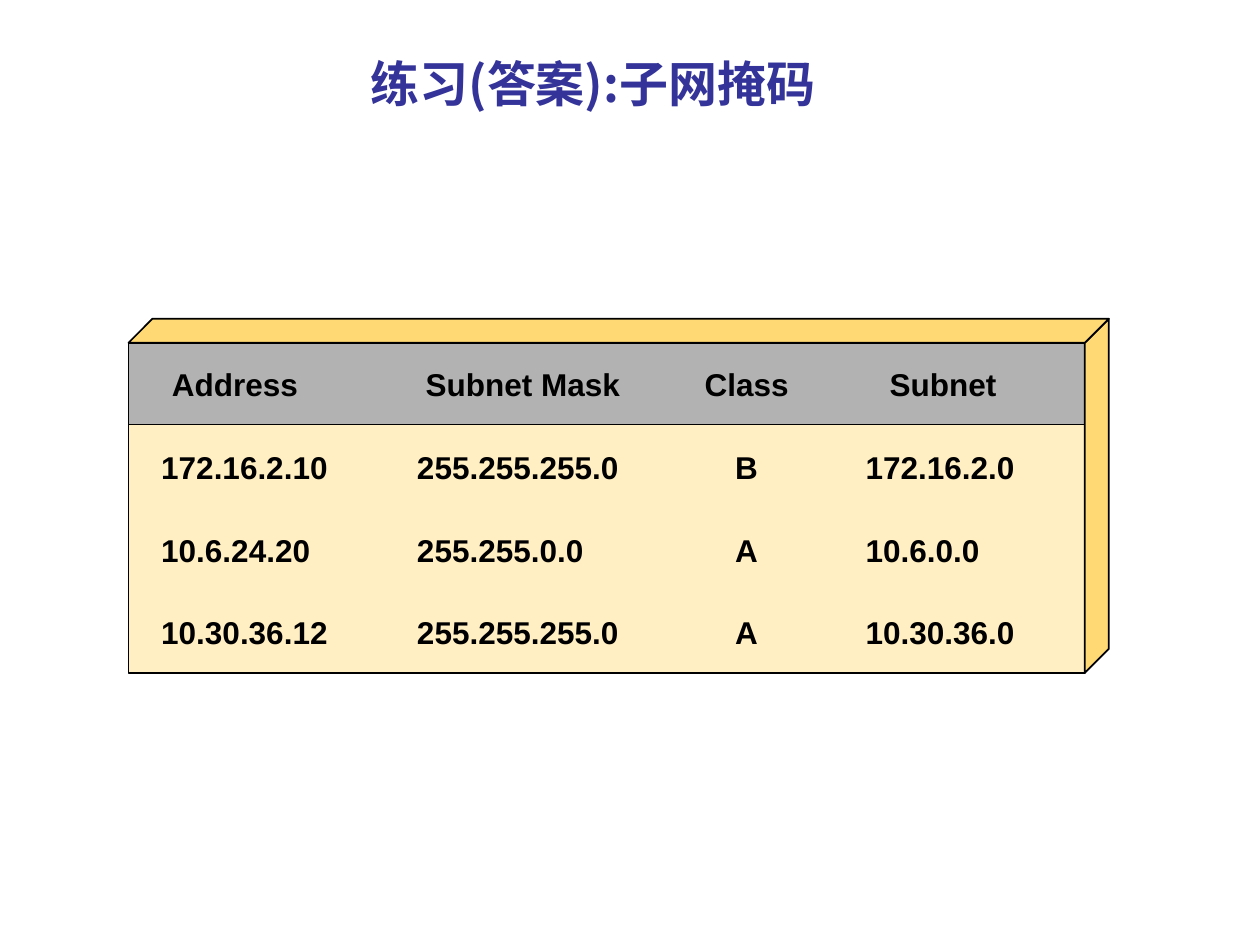
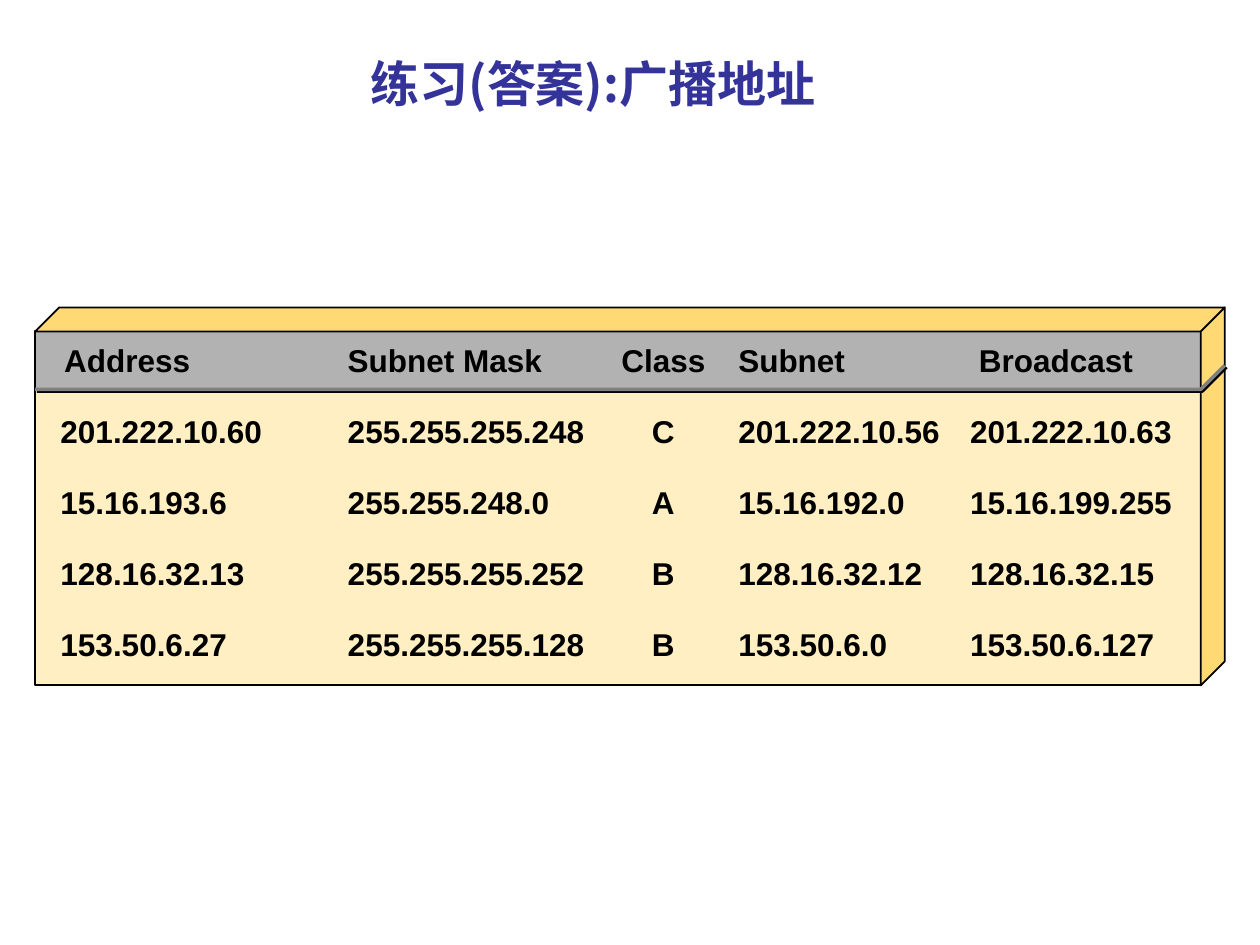
"""Build two answer slides, each a title over a raised board of subnet values."""
import pptx
import pptx.dml.color
import pptx.enum.shapes
import pptx.enum.text
import pptx.oxml
import pptx.oxml.ns
import pptx.util

Inches = pptx.util.Inches
Pt = pptx.util.Pt
ALIGN = pptx.enum.text.PP_ALIGN
RECTANGLE = pptx.enum.shapes.MSO_SHAPE.RECTANGLE

COLOURS = {"title": "333399", "text": "000000", "edge": "000000", "body": "FFEFC2",
           "header": "B2B2B2", "bevel": "FFDA74", "groove": "808080",
           "title_shadow": "C0C0C0", "groove_shadow": "000000"}
TITLE_AREA = (0.83, 0.28, 7.75, 0.75)
DEPTH = 0.19
CELL_HEIGHT = 0.4

# Each column: heading, heading (left, width, align), values (left, width, align), values
ANSWERS = [
    {"title": "练习(答案):子网掩码",
     "left": 1.02, "top": 2.72, "right": 8.61, "bottom": 5.34, "header_height": 0.65,
     "heading_y": 2.86, "first_y": 3.52, "last_y": 4.83, "groove": False,
     "columns": [
         ("Address", (1.07, 1.59, "c"), (1.17, 2.1, "l"),
          ["172.16.2.10", "10.6.24.20", "10.30.36.12"]),
         ("Subnet Mask", (3.25, 1.8, "c"), (3.2, 2.03, "l"),
          ["255.255.255.0", "255.255.0.0", "255.255.255.0"]),
         ("Class", (5.12, 1.61, "c"), (5.11, 1.63, "c"), ["B", "A", "A"]),
         ("Subnet", (6.71, 1.55, "c"), (6.76, 1.66, "l"),
          ["172.16.2.0", "10.6.0.0", "10.30.36.0"]),
     ]},
    {"title": "练习(答案):广播地址",
     "left": 0.28, "top": 2.63, "right": 9.53, "bottom": 5.44, "header_height": 0.46,
     "heading_y": 2.67, "first_y": 3.23, "last_y": 4.92, "groove": True,
     "columns": [
         ("Address", (0.4, 1.59, "l"), (0.37, 2.32, "l"),
          ["201.222.10.60", "15.16.193.6", "128.16.32.13", "153.50.6.27"]),
         ("Subnet Mask", (2.65, 2.1, "l"), (2.65, 2.19, "l"),
          ["255.255.255.248", "255.255.248.0", "255.255.255.252", "255.255.255.128"]),
         ("Class", (4.75, 1.03, "c"), (4.75, 1.03, "c"), ["C", "A", "B", "B"]),
         ("Subnet", (5.75, 1.81, "l"), (5.75, 1.89, "l"),
          ["201.222.10.56", "15.16.192.0", "128.16.32.12", "153.50.6.0"]),
         ("Broadcast", (7.66, 1.57, "l"), (7.59, 1.85, "l"),
          ["201.222.10.63", "15.16.199.255", "128.16.32.15", "153.50.6.127"]),
     ]},
]


def rgb(name):
    return pptx.dml.color.RGBColor.from_string(COLOURS[name])


def outer_shadow(colour, distance):
    return pptx.oxml.parse_xml(
        f'<a:outerShdw {pptx.oxml.ns.nsdecls("a")} dist="{Pt(distance)}" dir="2700000">'
        f'<a:srgbClr val="{COLOURS[colour]}"/></a:outerShdw>')


def add_text(slide, text, area, *, size=18, font="Arial", colour="text", align="l",
             insets=(0.11, 0.06), spacing=0.95, middle=False, grow=True, shadow=None):
    box = slide.shapes.add_textbox(*map(Inches, area))
    frame = box.text_frame
    frame.word_wrap = True
    frame.margin_left = frame.margin_right = Inches(insets[0])
    frame.margin_top = frame.margin_bottom = Inches(insets[1])
    if middle:
        frame.vertical_anchor = pptx.enum.text.MSO_ANCHOR.MIDDLE
    if grow:
        frame.auto_size = pptx.enum.text.MSO_AUTO_SIZE.SHAPE_TO_FIT_TEXT
    paragraph = frame.paragraphs[0]
    paragraph.alignment = ALIGN.CENTER if align == "c" else ALIGN.LEFT
    paragraph.line_spacing = spacing
    run = paragraph.add_run()
    run.text = text
    run.font.size = Pt(size)
    run.font.bold = True
    run.font.color.rgb = rgb(colour)
    run.font.name = font
    properties = run.font._element
    latin = properties.find(pptx.oxml.ns.qn("a:latin"))
    latin.addnext(pptx.oxml.parse_xml(
        f'<a:ea {pptx.oxml.ns.nsdecls("a")} typeface="{font}"/>'))
    if shadow:
        effects = pptx.oxml.parse_xml(f'<a:effectLst {pptx.oxml.ns.nsdecls("a")}/>')
        effects.append(outer_shadow(shadow, 2))
        latin.addprevious(effects)


def paint(shape, fill=None, line="edge", width=1):
    if fill:
        shape.fill.solid()
        shape.fill.fore_color.rgb = rgb(fill)
    else:
        shape.fill.background()
    shape.line.color.rgb = rgb(line)
    shape.line.width = Pt(width)
    shape.shadow.inherit = False
    return shape


def add_panel(slide, left, top, right, bottom, fill):
    area = (left, top, right - left, bottom - top)
    paint(slide.shapes.add_shape(RECTANGLE, *map(Inches, area)), fill)


def add_outline(slide, points, close=True, **look):
    start, *rest = [(Inches(x), Inches(y)) for x, y in points]
    builder = slide.shapes.build_freeform(*start)
    builder.add_line_segments(rest, close=close)
    return paint(builder.convert_to_shape(), **look)


def add_board(slide, answer):
    left, top, right, bottom = (answer[side] for side in ("left", "top", "right", "bottom"))
    header_bottom = top + answer["header_height"]
    back_top, back_right = top - DEPTH, right + DEPTH
    add_panel(slide, left, top, right, bottom, "body")
    add_panel(slide, left, top, right, header_bottom, "header")
    add_outline(slide, [(back_right, back_top), (right, top), (right, bottom),
                        (back_right, bottom - DEPTH)], fill="bevel")
    add_outline(slide, [(left, top), (left + DEPTH, back_top), (back_right, back_top),
                        (right, top)], fill="bevel")
    if answer["groove"]:
        groove = add_outline(slide, [(left, header_bottom), (right, header_bottom),
                                     (back_right, header_bottom - DEPTH)],
                             close=False, line="groove", width=2)
        effects = groove._element.spPr.find(pptx.oxml.ns.qn("a:effectLst"))
        effects.append(outer_shadow("groove_shadow", 1.4))


def add_values(slide, answer):
    for heading, heading_place, value_place, values in answer["columns"]:
        pitch = (answer["last_y"] - answer["first_y"]) / (len(values) - 1)
        cells = [(heading, heading_place, answer["heading_y"])]
        cells += [(value, value_place, answer["first_y"] + row * pitch)
                  for row, value in enumerate(values)]
        for text, (left, width, align), y in cells:
            add_text(slide, text, (left, y, width, CELL_HEIGHT), align=align)


def main():
    deck = pptx.Presentation()
    deck.slide_width, deck.slide_height = Inches(10), Inches(7.5)
    for answer in ANSWERS:
        slide = deck.slides.add_slide(deck.slide_layouts[6])
        add_text(slide, answer["title"], TITLE_AREA, size=28, font="Noto Sans CJK SC",
                 colour="title", align="c", insets=(0.09, 0.04), spacing=1.0,
                 middle=True, grow=False, shadow="title_shadow")
        add_board(slide, answer)
        add_values(slide, answer)
    deck.save("out.pptx")


if __name__ == "__main__":
    main()
